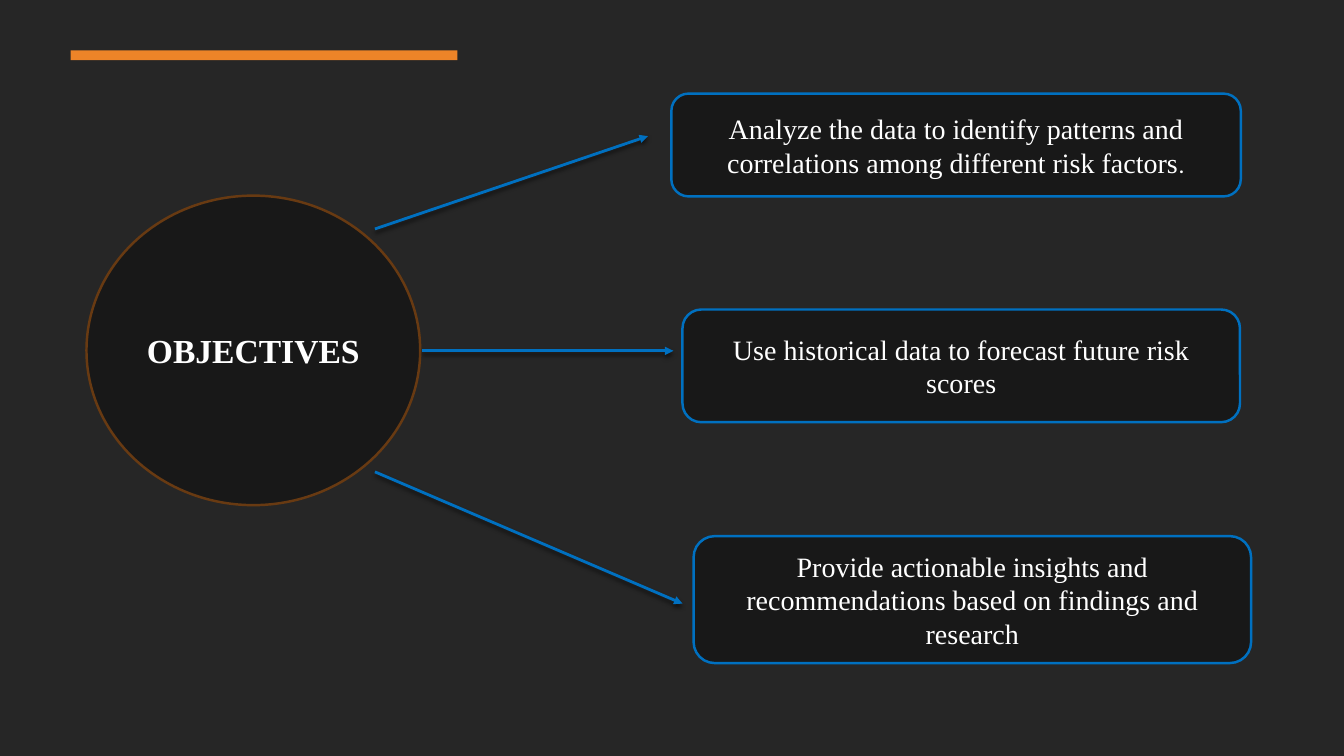
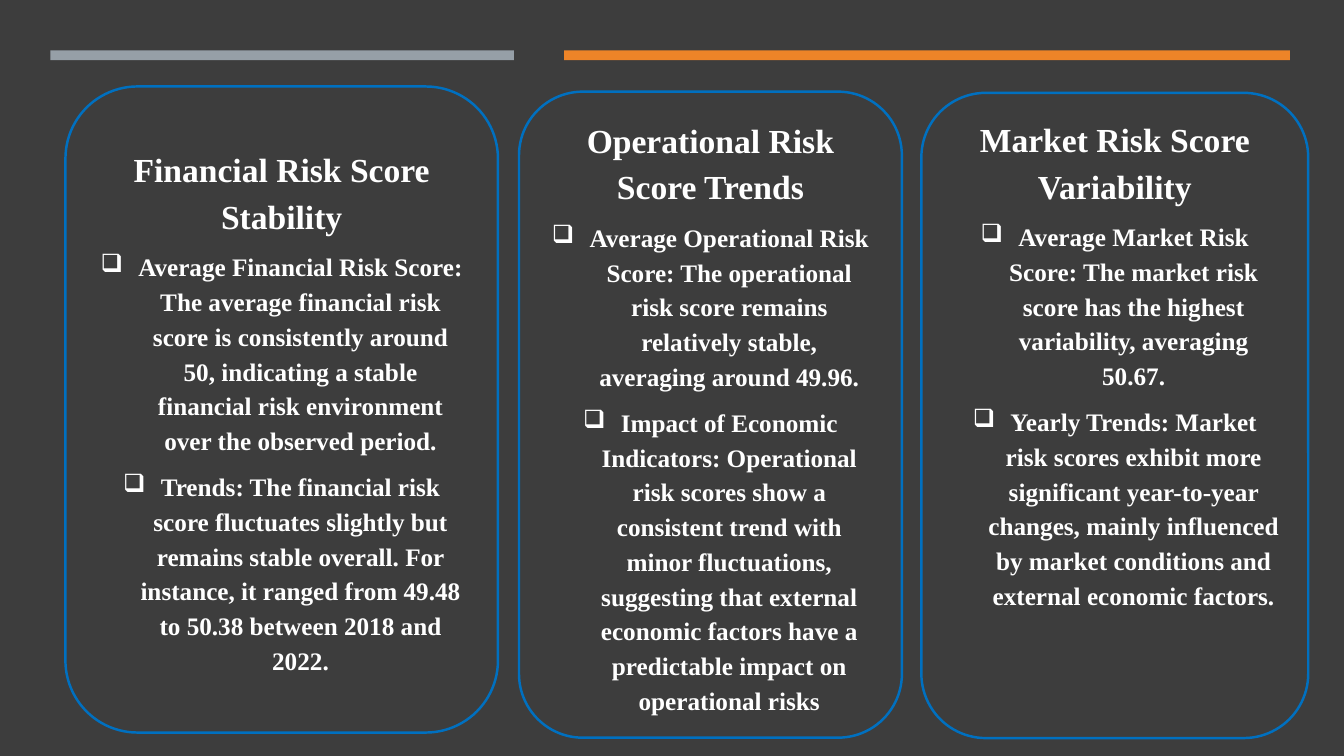
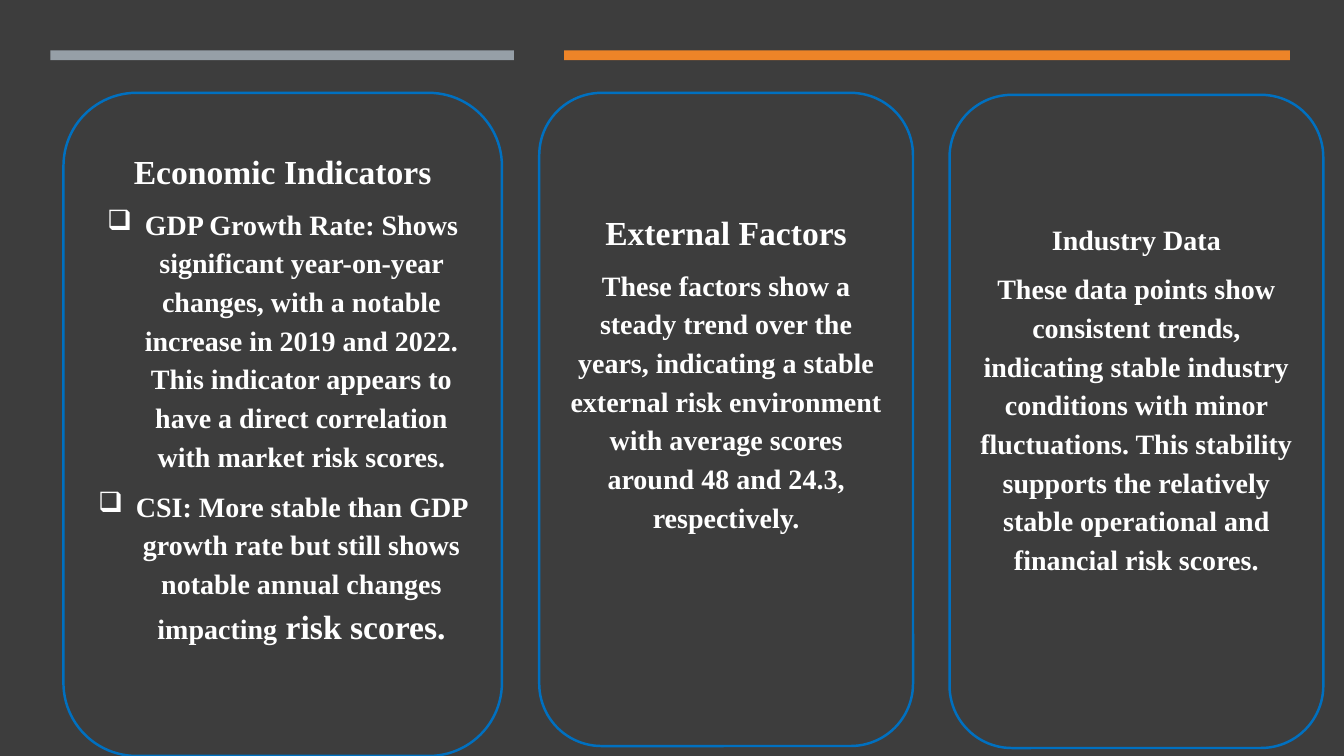
from lxml import etree
from pptx import Presentation
from pptx.dml.color import RGBColor
from pptx.enum import shapes, text
from pptx.oxml import ns
from pptx.util import Cm, Pt

COLORS = {
    "night": "262626",
    "slate": "3D3D3D",
    "ink": "181818",
    "blue": "0070C0",
    "orange": "ED8428",
    "brown": "683A12",
    "gray": "969FA7",
    "white": "FFFFFF",
    "black": "000000",
}
SERIF = "Times New Roman"
BAR_TOP, BAR_HEIGHT = 1.27, 0.25
BULLET_INDENT = Cm(0.95)
INSET = 0.13


def color(name):
    return RGBColor.from_string(COLORS[name])


def add_xml(parent, tag, **attributes):
    return etree.SubElement(parent, ns.qn(tag), attributes)


def add_slide(presentation, background):
    slide = presentation.slides.add_slide(presentation.slide_layouts[6])
    slide.background.fill.solid()
    slide.background.fill.fore_color.rgb = color(background)
    return slide


def add_box(slide, kind, box, fill=None, line=None):
    shape = slide.shapes.add_shape(kind, *map(Cm, box))
    shape.shadow.inherit = False
    if fill:
        shape.fill.solid()
        shape.fill.fore_color.rgb = color(fill)
    else:
        shape.fill.background()
    if line:
        shape.line.color.rgb = color(line)
        shape.line.width = Pt(1.75)
    else:
        shape.line.fill.background()
    shape.text_frame.word_wrap = True
    shape.text_frame.vertical_anchor = text.MSO_ANCHOR.MIDDLE
    return shape


def add_bar(slide, left, width, fill):
    add_box(slide, shapes.MSO_SHAPE.RECTANGLE, (left, BAR_TOP, width, BAR_HEIGHT), fill)


def write(paragraph, words, size, bold=False):
    paragraph.alignment = text.PP_ALIGN.CENTER
    paragraph.font.name = SERIF
    paragraph.font.size = Pt(size)
    paragraph.font.bold = bold
    paragraph.font.color.rgb = color("white")
    paragraph.add_run().text = words


def add_ending(paragraph, words, size, name=SERIF):
    run = paragraph.add_run()
    run.text = words
    run.font.size = Pt(size)
    run.font.name = name


def add_bullet(paragraph):
    properties = paragraph._p.get_or_add_pPr()
    properties.set("marL", str(BULLET_INDENT))
    properties.set("indent", str(-BULLET_INDENT))
    add_xml(properties, "a:buChar", char="❑")


def add_arrow(slide, start, end):
    arrow = slide.shapes.add_connector(
        shapes.MSO_CONNECTOR.STRAIGHT, *map(Cm, start + end))
    arrow.line.color.rgb = color("blue")
    arrow.line.width = Pt(2)
    add_xml(arrow.line._get_or_add_ln(), "a:tailEnd", type="triangle")
    effects = add_xml(arrow._element.spPr, "a:effectLst")
    shadow = add_xml(effects, "a:outerShdw", blurRad=str(Pt(3)), dist=str(Pt(2)),
                     dir="5400000", rotWithShape="0")
    shade = add_xml(shadow, "a:srgbClr", val=COLORS["black"])
    add_xml(shade, "a:alpha", val="55000")


def add_card(slide, box, heading, body, heading_size=24, body_size=18,
             bulleted=True, bottom_space=0):
    frame = add_box(slide, shapes.MSO_SHAPE.ROUNDED_RECTANGLE, box, line="blue").text_frame
    frame.margin_bottom = Cm(INSET + bottom_space)
    for index, words in enumerate([heading, *body]):
        paragraph = frame.add_paragraph() if index else frame.paragraphs[0]
        paragraph.line_spacing = 1.15
        paragraph.space_after = Pt(8)
        if index and bulleted:
            add_bullet(paragraph)
        write(paragraph, words, body_size if index else heading_size, bold=True)
    return paragraph


def add_objective(slide, box, words):
    shape = add_box(slide, shapes.MSO_SHAPE.ROUNDED_RECTANGLE, box, "ink", "blue")
    paragraph = shape.text_frame.paragraphs[0]
    write(paragraph, words, 20)
    return paragraph


def add_card_slide(presentation):
    slide = add_slide(presentation, "slate")
    add_bar(slide, 1.27, 11.68, "gray")
    add_bar(slide, 14.22, 18.29, "orange")
    return slide


def build_objectives(presentation):
    slide = add_slide(presentation, "night")
    add_bar(slide, 1.78, 9.75, "orange")
    circle = add_box(slide, shapes.MSO_SHAPE.OVAL, (2.18, 4.93, 8.41, 7.8), "ink", "brown")
    write(circle.text_frame.paragraphs[0], "OBJECTIVES", 24, bold=True)
    analysis = add_objective(
        slide, (16.92, 2.36, 14.35, 2.59),
        "Analyze the data to identify patterns and correlations among different risk factors")
    add_ending(analysis, ".", 18, "Roboto")
    add_objective(slide, (17.2, 7.8, 14.05, 2.84),
                  "Use historical data to forecast future risk scores")
    add_objective(
        slide, (17.48, 13.51, 14.05, 3.2),
        "Provide actionable insights and recommendations based on findings and research")
    add_arrow(slide, (9.45, 5.77), (16.33, 3.43))
    add_arrow(slide, (10.64, 8.84), (16.97, 8.84))
    add_arrow(slide, (9.45, 11.89), (17.2, 15.21))


def build_risk_scores(presentation):
    slide = add_card_slide(presentation)
    add_card(slide, (1.65, 2.18, 10.9, 16.28), "Financial Risk Score Stability", [
        "Average Financial Risk Score: The average financial risk score is consistently "
        "around 50, indicating a stable financial risk environment over the observed period.",
        "Trends: The financial risk score fluctuates slightly but remains stable overall. "
        "For instance, it ranged from 49.48 to 50.38 between 2018 and 2022.",
    ])
    add_card(slide, (13.08, 2.31, 9.65, 16.28), "Operational Risk Score Trends", [
        "Average Operational Risk Score: The operational risk score remains relatively "
        "stable, averaging around 49.96.",
        "Impact of Economic Indicators: Operational risk scores show a consistent trend "
        "with minor fluctuations, suggesting that external economic factors have a "
        "predictable impact on operational risks",
    ])
    add_card(slide, (23.22, 2.34, 9.75, 16.26), "Market Risk Score Variability", [
        "Average Market Risk Score: The market risk score has the highest variability, "
        "averaging 50.67.",
        "Yearly Trends: Market risk scores exhibit more significant year-to-year changes, "
        "mainly influenced by market conditions and external economic factors.",
    ], bottom_space=2.7)


def build_drivers(presentation):
    slide = add_card_slide(presentation)
    last = add_card(slide, (1.6, 2.34, 11.05, 16.71), "Economic Indicators", [
        "GDP Growth Rate: Shows significant year-on-year changes, with a notable increase "
        "in 2019 and 2022. This indicator appears to have a direct correlation with "
        "market risk scores.",
        "CSI: More stable than GDP growth rate but still shows notable annual changes "
        "impacting",
    ], body_size=20, bottom_space=1.45)
    add_ending(last, " risk scores.", 24)
    add_card(slide, (13.59, 2.34, 9.42, 16.46), "External Factors", [
        "These factors show a steady trend over the years, indicating a stable external "
        "risk environment with average scores around 48 and 24.3, respectively.",
    ], body_size=20, bulleted=False, bottom_space=2.5)
    add_card(slide, (23.93, 2.39, 9.42, 16.46), "Industry Data", [
        "These data points show consistent trends, indicating stable industry conditions "
        "with minor fluctuations. This stability supports the relatively stable "
        "operational and financial risk scores.",
    ], heading_size=20, body_size=20, bulleted=False, bottom_space=1.25)


def main():
    presentation = Presentation()
    presentation.slide_width = Cm(33.87)
    presentation.slide_height = Cm(19.05)
    build_objectives(presentation)
    build_risk_scores(presentation)
    build_drivers(presentation)
    presentation.save("out.pptx")


if __name__ == "__main__":
    main()
